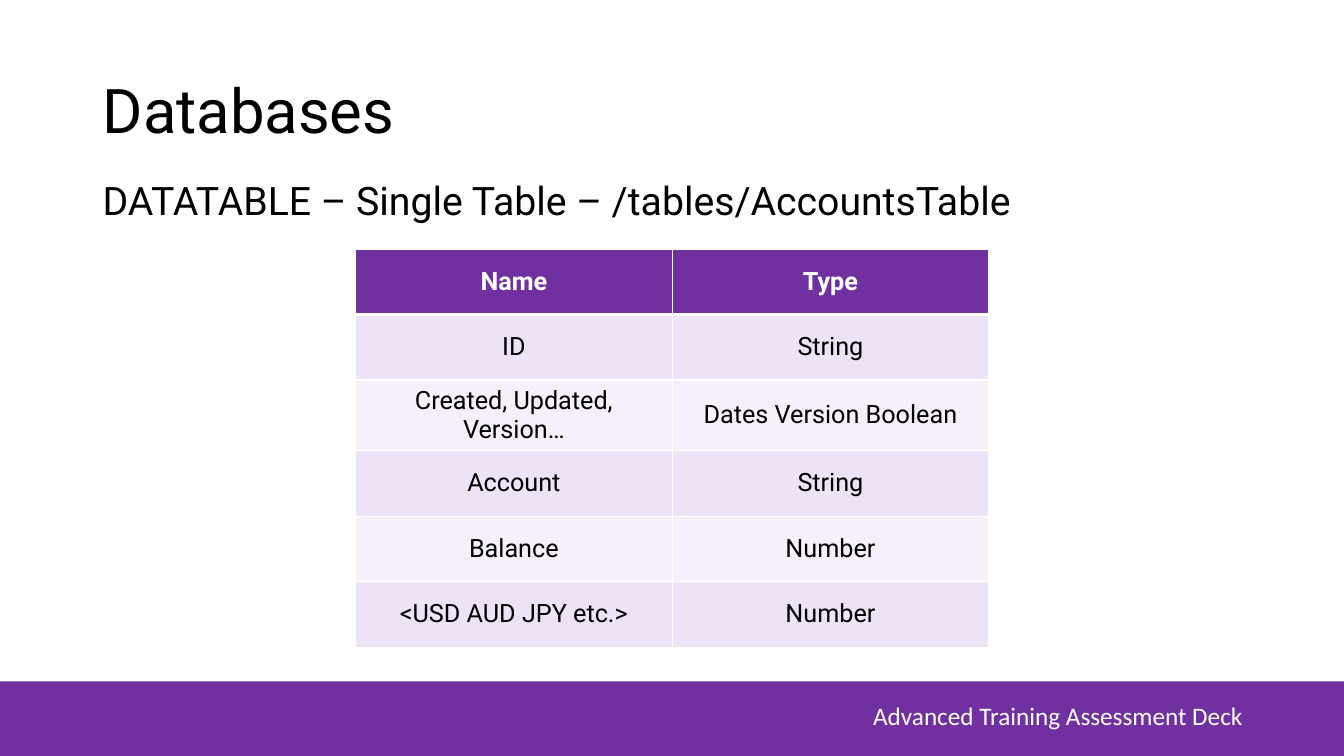
from dataclasses import dataclass

from lxml import etree
from pptx import Presentation
from pptx.dml.color import RGBColor
from pptx.enum.shapes import MSO_SHAPE
from pptx.enum.text import MSO_ANCHOR, PP_ALIGN
from pptx.oxml.ns import qn
from pptx.util import Inches, Pt

RECT = MSO_SHAPE.RECTANGLE
TOP, MID = MSO_ANCHOR.TOP, MSO_ANCHOR.MIDDLE
LEFT, CENTER = PP_ALIGN.LEFT, PP_ALIGN.CENTER
WIDE, HIGH = Inches(13.33), Inches(7.5)
GRID = 100


@dataclass(frozen=True)
class Theme:
    """Colours, fonts and type sizes of the deck."""
    main: str = "7030A0"
    dark: str = "000000"
    light: str = "FFFFFF"
    bands: tuple = ("EDE2F6", "F6F0FA")
    font: str = "Roboto"
    foot: str = "Calibri"
    title: int = 44
    lead: int = 28
    small: int = 18
    thin: int = 1
    thick: int = 3


THEME = Theme()
ROWS = (
    ("Name", "Type"),
    ("ID", "String"),
    ("Created, Updated, Version…", "Dates Version Boolean"),
    ("Account", "String"),
    ("Balance", "Number"),
    ("<USD AUD JPY etc.>", "Number"),
)


def cells(col, row, wide, high):
    """Turn columns and rows of the slide grid into lengths."""
    return (round(WIDE * col / GRID), round(HIGH * row / GRID),
            round(WIDE * wide / GRID), round(HIGH * high / GRID))


def apply(item, looks):
    """Set each attribute named in a dict of format values."""
    for name, value in looks.items():
        setattr(item, name, value)


def paint(fill, color):
    """Give a fill one solid colour."""
    fill.solid()
    fill.fore_color.rgb = RGBColor.from_string(color)


def write(frame, text, size, color, font=THEME.font, bold=False, **looks):
    """Put one styled paragraph into a text frame."""
    para = frame.paragraphs[0]
    apply(para, looks)
    run = para.add_run()
    run.text = text
    apply(run.font, {"size": Pt(size), "name": font, "bold": bold})
    run.font.color.rgb = RGBColor.from_string(color)


def label(slide, box, text, size, color, anchor=TOP, **looks):
    """Add a wrapping text box that fills the given box."""
    frame = slide.shapes.add_textbox(*box).text_frame
    apply(frame, {"word_wrap": True, "vertical_anchor": anchor})
    write(frame, text, size, color, alignment=LEFT, **looks)


def edge(cell, sides):
    """Draw the cell borders, given as a dict of side and width."""
    props = cell._tc.get_or_add_tcPr()
    for spot, (side, width) in enumerate(sides.items()):
        line = etree.Element(qn(f"a:ln{side}"), w=str(Pt(width)))
        fill = etree.SubElement(line, qn("a:solidFill"))
        etree.SubElement(fill, qn("a:srgbClr"), val=THEME.light)
        props.insert(spot, line)


def footer(slide, box, text):
    """Draw the colour bar and its caption."""
    left, top, wide, high = box
    bar = slide.shapes.add_shape(RECT, *box)
    bar.shadow.inherit = False
    paint(bar.fill, THEME.main)
    bar.line.fill.background()
    spot = (left + round(wide * 0.64), top + round(high * 0.19),
            round(wide * 0.31), round(high * 0.54))
    label(slide, spot, text, THEME.small, THEME.light, font=THEME.foot)


def heading(slide, box, text):
    """Write the slide title."""
    label(slide, box, text, THEME.title, THEME.dark, MID, line_spacing=0.9)


def lead(slide, box, text):
    """Write the line above the table."""
    label(slide, box, text, THEME.lead, THEME.dark,
          line_spacing=0.9, space_before=Pt(10))


def fields(slide, box, rows):
    """Build the banded table of field names and types."""
    table = slide.shapes.add_table(len(rows), len(rows[0]), *box).table
    for col in table.columns:
        col.width = box[2] // len(rows[0])
    for r, row in enumerate(rows):
        table.rows[r].height = box[3] // len(rows)
        head = r == 0
        tone = THEME.main if head else THEME.bands[(r - 1) % 2]
        sides = {"L": THEME.thin, "R": THEME.thin,
                 "T": THEME.thick if r == 1 else THEME.thin,
                 "B": THEME.thick if head else THEME.thin}
        for c, text in enumerate(row):
            cell = table.cell(r, c)
            cell.vertical_anchor = MID
            paint(cell.fill, tone)
            edge(cell, sides)
            write(cell.text_frame, text, THEME.small,
                  THEME.light if head else THEME.dark,
                  bold=head, alignment=CENTER)


def main():
    """Build the slide and save the deck."""
    deck = Presentation()
    apply(deck, {"slide_width": WIDE, "slide_height": HIGH})
    slide = deck.slides.add_slide(deck.slide_layouts[6])
    footer(slide, cells(-0.83, 90.13, 101.65, 9.87),
           "Advanced Training Assessment Deck")
    heading(slide, cells(6.9, 5.33, 86.27, 19.33), "Databases")
    lead(slide, cells(6.9, 23.33, 86.27, 63.47),
         "DATATABLE – Single Table – /tables/AccountsTable")
    fields(slide, cells(26.46, 32.93, 47.11, 52), ROWS)
    deck.save("out.pptx")


main()
